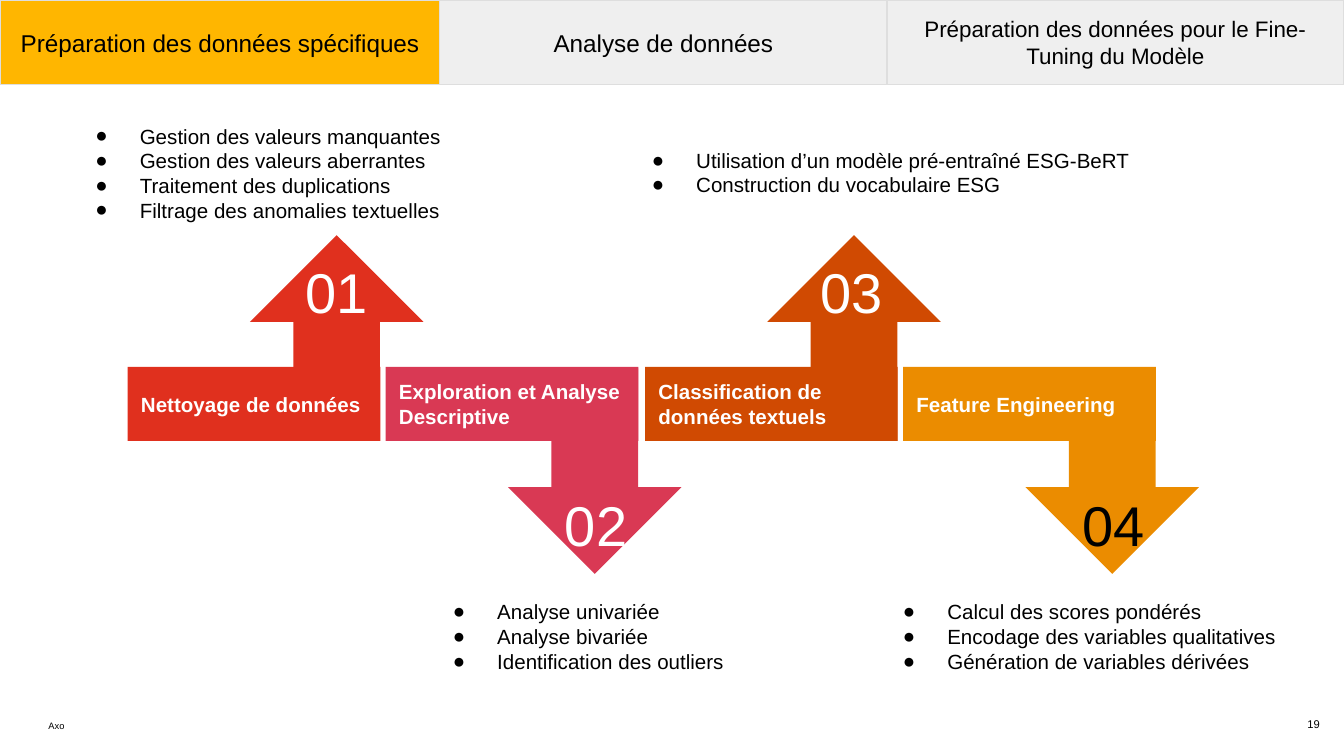
from dataclasses import dataclass

from lxml.etree import SubElement
from pptx import Presentation
from pptx.dml.color import RGBColor
from pptx.enum.shapes import MSO_SHAPE
from pptx.enum.text import MSO_ANCHOR, PP_ALIGN
from pptx.oxml.ns import qn
from pptx.util import Pt

EMU_PER_PX = 9144


@dataclass(frozen=True)
class Theme:
    """Colours and type sizes of the slide."""
    font: str = "Arial"
    ink: str = "000000"
    paper: str = "FFFFFF"
    tab: str = "EFEFEF"
    tab_active: str = "FFB600"
    tab_line: str = "DEDEDE"
    red: str = "E0301E"
    rose: str = "D93954"
    orange: str = "D04A02"
    amber: str = "EB8C00"
    number_size: int = 30
    tab_size: int = 13
    tab_small_size: int = 12
    body_size: int = 11
    page_size: int = 6
    footer_size: int = 5


@dataclass(frozen=True)
class Box:
    """A rectangle in px."""
    left: int
    top: int
    width: int
    height: int

    def inner(self, left, top, width, height):
        """Return a box placed relative to this one."""
        return Box(self.left + left, self.top + top, width, height)

    def emu(self):
        """Return the four lengths in EMU."""
        return [px(value) for value in (self.left, self.top, self.width, self.height)]


@dataclass(frozen=True)
class Step:
    """One stage of the process with its list."""
    number: str
    title: str
    colour: str
    number_colour: str
    number_left: int
    points_up: bool
    list_box: Box
    list_inset: int
    items: tuple


THEME = Theme()
TABS = (
    ("Préparation des données spécifiques", 327, THEME.tab_active, THEME.tab_size),
    ("Analyse de données", 333, THEME.tab, THEME.tab_size),
    ("Préparation des données pour le Fine-Tuning du Modèle", 340, THEME.tab,
     THEME.tab_small_size),
)
STEPS = (
    Step("01", "Nettoyage de données", THEME.red, THEME.paper, 125, True,
         Box(54, 92, 318, 90), 0,
         ("Gestion des valeurs manquantes", "Gestion des valeurs aberrantes",
          "Traitement des duplications", "Filtrage des anomalies textuelles")),
    Step("02", "Exploration et Analyse Descriptive", THEME.rose, THEME.paper, 126, False,
         Box(320, 446, 230, 90), 0,
         ("Analyse univariée", "Analyse bivariée", "Identification des outliers")),
    Step("03", "Classification de données textuels", THEME.orange, THEME.paper, 123, True,
         Box(468, 110, 399, 90), 0,
         ("Utilisation d’un modèle pré-entraîné ESG-BeRT",
          "Construction du vocabulaire ESG")),
    Step("04", "Feature Engineering", THEME.amber, THEME.ink, 126, False,
         Box(645, 436, 328, 76), 10,
         ("Calcul des scores pondérés", "Encodage des variables qualitatives",
          "Génération de variables dérivées")),
)


def px(value):
    """Convert px to EMU."""
    return int(value * EMU_PER_PX)


def add_block(slide, kind, box, fill, line=None):
    """Add a filled preset shape without shadow."""
    shape = slide.shapes.add_shape(kind, *box.emu())
    shape.shadow.inherit = False
    shape.fill.solid()
    shape.fill.fore_color.rgb = RGBColor.from_string(fill)
    if line:
        shape.line.color.rgb = RGBColor.from_string(line)
        shape.line.width = Pt(0.75)
    else:
        shape.line.fill.background()
    return shape


def set_frame(shape, anchor, horizontal, vertical):
    """Set wrapping, anchor and insets, and return the text frame."""
    frame = shape.text_frame
    frame.word_wrap = True
    frame.vertical_anchor = anchor
    frame.margin_left = frame.margin_right = px(horizontal)
    frame.margin_top = frame.margin_bottom = px(vertical)
    return frame


def add_run(paragraph, text, size, colour, alignment=PP_ALIGN.LEFT, bold=False):
    """Add one styled run to a paragraph."""
    paragraph.alignment = alignment
    run = paragraph.add_run()
    run.text = text
    run.font.name = THEME.font
    run.font.size = Pt(size)
    run.font.bold = bold
    run.font.color.rgb = RGBColor.from_string(colour)


def add_label(slide, box, text, size, colour, alignment, anchor=MSO_ANCHOR.TOP):
    """Add a one-line text box without insets."""
    frame = set_frame(slide.shapes.add_textbox(*box.emu()), anchor, 0, 0)
    add_run(frame.paragraphs[0], text, size, colour, alignment)


def add_bullet(paragraph):
    """Give a paragraph a round bullet and a hanging indent."""
    properties = paragraph._p.get_or_add_pPr()
    properties.set("marL", str(px(50)))
    properties.set("indent", str(px(-33)))
    colour = SubElement(properties, qn("a:buClr"))
    SubElement(colour, qn("a:srgbClr"), val=THEME.ink)
    SubElement(properties, qn("a:buFont"), typeface=THEME.font)
    SubElement(properties, qn("a:buChar"), char="●")


def add_bullet_list(slide, box, items, inset):
    """Add a bulleted list."""
    frame = set_frame(slide.shapes.add_textbox(*box.emu()), MSO_ANCHOR.TOP, inset, inset)
    for index, item in enumerate(items):
        paragraph = frame.add_paragraph() if index else frame.paragraphs[0]
        add_bullet(paragraph)
        add_run(paragraph, item, THEME.body_size, THEME.ink)


def add_tabs(slide, box):
    """Add the row of section tabs."""
    left = 0
    for title, width, fill, size in TABS:
        tab = add_block(slide, MSO_SHAPE.RECTANGLE,
                        box.inner(left, 0, width, box.height), fill, THEME.tab_line)
        frame = set_frame(tab, MSO_ANCHOR.MIDDLE, 10, 10)
        add_run(frame.paragraphs[0], title, size, THEME.ink, PP_ALIGN.CENTER)
        left += width


def add_step(slide, box, step):
    """Add a bar with its arrow and number."""
    arrow_top, number_top = (0, 17) if step.points_up else (99, 190)
    arrow = add_block(slide, MSO_SHAPE.UP_ARROW,
                      box.inner(91, arrow_top, 129, 153), step.colour)
    arrow.rotation = 0 if step.points_up else 180
    bar = add_block(slide, MSO_SHAPE.RECTANGLE, box.inner(0, 98, 188, 55), step.colour)
    frame = set_frame(bar, MSO_ANCHOR.MIDDLE, 10, 5)
    add_run(frame.paragraphs[0], step.title, THEME.body_size, THEME.paper, bold=True)
    add_label(slide, box.inner(step.number_left, number_top, 61, 43), step.number,
              THEME.number_size, step.number_colour, PP_ALIGN.CENTER)


def add_process(slide, box):
    """Add the four steps at an equal pitch, with their lists."""
    for index, step in enumerate(STEPS):
        add_step(slide, box.inner(round(index * 192.4), 0, 220, box.height), step)
        add_bullet_list(slide, step.list_box, step.items, step.list_inset)


def add_footer(slide, box):
    """Add the company name and the page number."""
    add_label(slide, box.inner(0, 0, 449, 11), "Axo", THEME.footer_size, THEME.ink,
              PP_ALIGN.LEFT, MSO_ANCHOR.BOTTOM)
    add_label(slide, box.inner(739, 6, 207, 5), "19", THEME.page_size, THEME.ink,
              PP_ALIGN.RIGHT, MSO_ANCHOR.BOTTOM)


def main():
    """Build and save the slide."""
    presentation = Presentation()
    presentation.slide_width = px(1000)
    presentation.slide_height = presentation.slide_width * 9 // 16
    slide = presentation.slides.add_slide(presentation.slide_layouts[6])
    add_footer(slide, Box(36, 533, 946, 11))
    add_process(slide, Box(95, 175, 797, 252))
    add_tabs(slide, Box(0, 0, 1000, 63))
    presentation.save("out.pptx")


if __name__ == "__main__":
    main()
